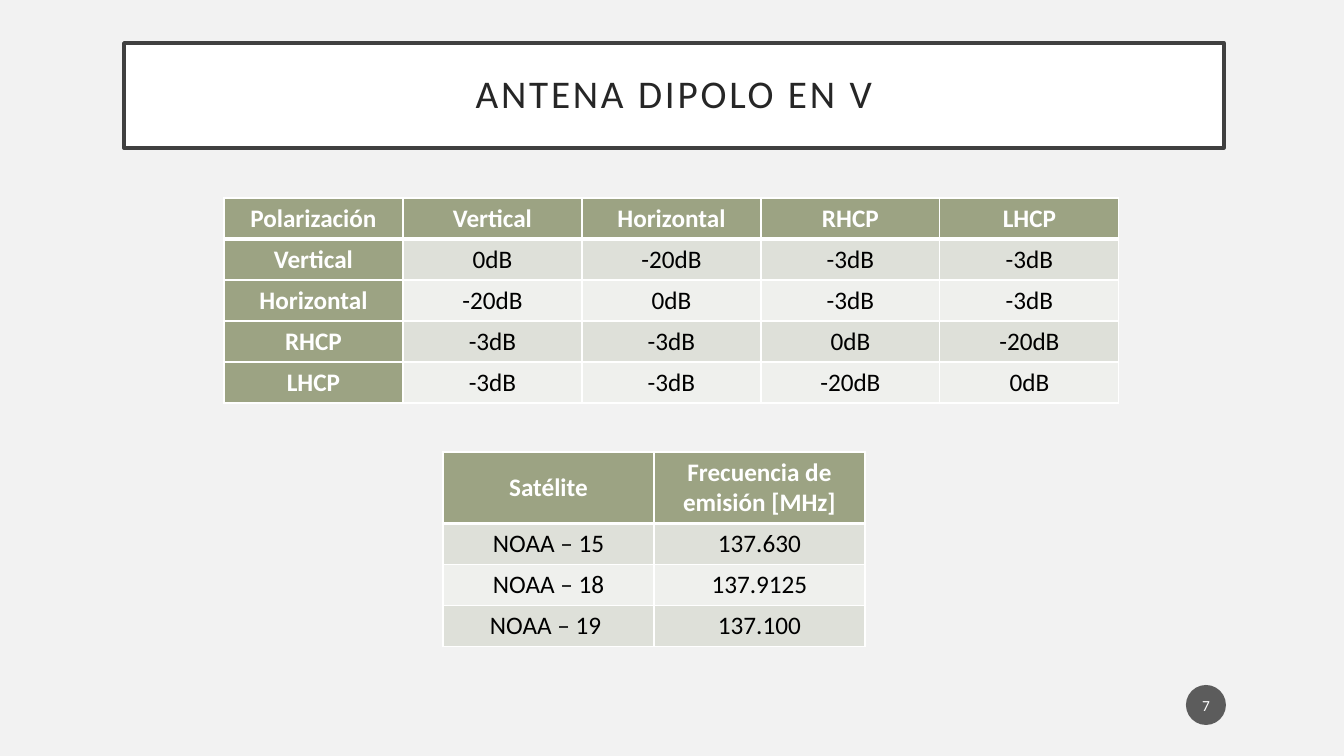
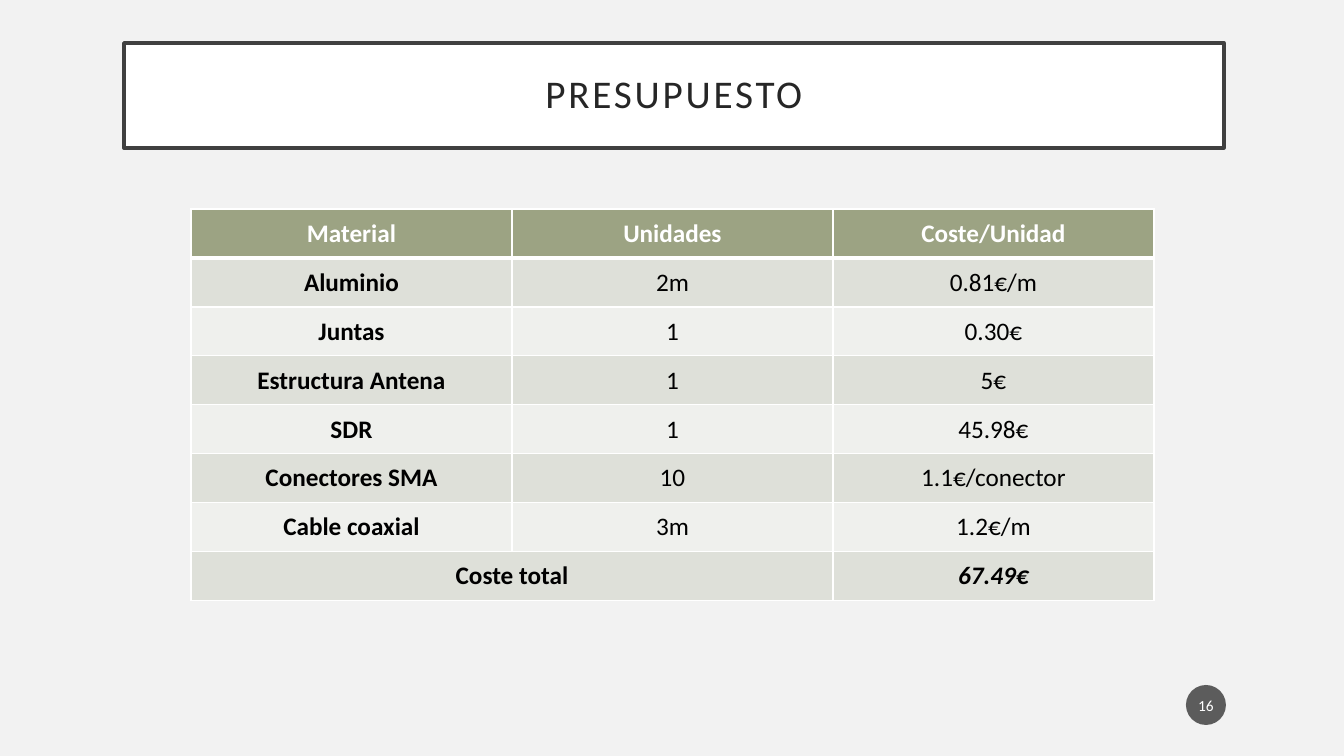
from dataclasses import dataclass
from enum import Enum

from lxml import etree
from pptx import Presentation
from pptx import util as u
from pptx.dml.color import RGBColor
from pptx.enum import shapes, text
from pptx.oxml import ns

SLIDE_WIDTH, SLIDE_HEIGHT = 1344, 756
EMU_PER_PX = 12192000 / SLIDE_WIDTH
FONT = "Calibri"
COLORS = {
    "background": "F2F2F2",
    "white": "FFFFFF",
    "frame": "404040",
    "title": "262626",
    "badge": "1D1D1D",
    "accent": "9CA383",
    "odd": "DEE0D9",
    "even": "EFF0ED",
    "body": "000000",
}


class Lead(Enum):
    PLAIN = 0
    BOLD = 1
    ACCENT = 2


@dataclass(frozen=True)
class Grid:
    left: int
    top: int
    column_width: int
    header_height: int
    row_height: int
    rows: list[list[str]]
    lead: Lead = Lead.PLAIN
    has_total: bool = False


@dataclass(frozen=True)
class Page:
    title: str
    number: str
    grids: list[Grid]


PAGES = [
    Page("ANTENA DIPOLO EN V", "7", [
        Grid(443, 452, 211, 71, 41, [
            ["Satélite", "Frecuencia de emisión [MHz]"],
            ["NOAA – 15", "137.630"],
            ["NOAA – 18", "137.9125"],
            ["NOAA – 19 ", "137.100"],
        ]),
        Grid(224, 198, 179, 41, 41, [
            ["Polarización", "Vertical", "Horizontal", "RHCP", "LHCP"],
            ["Vertical", "0dB", "-20dB", "-3dB", "-3dB"],
            ["Horizontal", "-20dB", "0dB", "-3dB", "-3dB"],
            ["RHCP", "-3dB", "-3dB", "0dB", "-20dB"],
            ["LHCP", "-3dB", "-3dB", "-20dB", "0dB"],
        ], Lead.ACCENT),
    ]),
    Page("PRESUPUESTO", "16", [
        Grid(191, 209, 321, 49, 49, [
            ["Material", "Unidades", "Coste/Unidad"],
            ["Aluminio", "2m", "0.81€/m"],
            ["Juntas", "1", "0.30€"],
            ["Estructura Antena", "1", "5€"],
            ["SDR", "1", "45.98€"],
            ["Conectores SMA", "10", "1.1€/conector"],
            ["Cable coaxial", "3m", "1.2€/m"],
            ["Coste total", "", "67.49€"],
        ], Lead.BOLD, True),
    ]),
]


def px(length: int) -> int:
    return round(length * EMU_PER_PX)


def rgb(name: str) -> RGBColor:
    return RGBColor.from_string(COLORS[name])


def paint(fill, color: str) -> None:
    fill.solid()
    fill.fore_color.rgb = rgb(color)


def write(frame, wording: str, color: str, **formats):
    paragraph = frame.paragraphs[0]
    paragraph.alignment = text.PP_ALIGN.CENTER
    run = paragraph.add_run()
    run.text = wording
    run.font.color.rgb = rgb(color)
    for key, value in {"name": FONT, **formats}.items():
        setattr(run.font, key, value)
    return run


def add_panel(slide, kind, box: tuple[int, int, int, int], color: str,
              inset_x: int, inset_y: int):
    panel = slide.shapes.add_shape(kind, *map(px, box))
    panel.shadow.inherit = False
    paint(panel.fill, color)
    panel.line.fill.background()
    formats = {
        "margin_left": px(inset_x), "margin_right": px(inset_x),
        "margin_top": px(inset_y), "margin_bottom": px(inset_y),
        "vertical_anchor": text.MSO_ANCHOR.MIDDLE, "word_wrap": True,
    }
    for key, value in formats.items():
        setattr(panel.text_frame, key, value)
    return panel


def add_title(slide, wording: str) -> None:
    banner = add_panel(slide, shapes.MSO_SHAPE.RECTANGLE,
                       (124, 43, 1100, 105), "white", 20, 20)
    paint(banner.line.fill, "frame")
    banner.line.width = u.Pt(2.5)
    run = write(banner.text_frame, wording, "title", size=u.Pt(28))
    run.font._element.set("spc", "200")
    banner.text_frame.paragraphs[0].line_spacing = 0.9


def add_page_number(slide, number: str) -> None:
    badge = add_panel(slide, shapes.MSO_SHAPE.OVAL,
                      (1186, 685, 40, 40), "badge", 2, 5)
    color = badge.fill._xPr.find(".//" + ns.qn("a:srgbClr"))
    etree.SubElement(color, ns.qn("a:alpha"), val="70000")
    write(badge.text_frame, number, "white", size=u.Pt(11))


def add_borders(cell, row: int) -> None:
    properties = cell._tc.get_or_add_tcPr()
    heavy_sides = {0: "B", 1: "T"}
    for side in "LRTB":
        width = u.Pt(3 if heavy_sides.get(row) == side else 1)
        line = etree.SubElement(properties, ns.qn(f"a:ln{side}"), w=str(width))
        fill = etree.SubElement(line, ns.qn("a:solidFill"))
        etree.SubElement(fill, ns.qn("a:srgbClr"), val=COLORS["white"])


def add_grid(slide, grid: Grid) -> None:
    row_count, column_count = len(grid.rows), len(grid.rows[0])
    heights = [grid.header_height] + [grid.row_height] * (row_count - 1)
    table = slide.shapes.add_table(
        row_count, column_count, px(grid.left), px(grid.top),
        px(grid.column_width * column_count), px(sum(heights))).table
    table.horz_banding = False
    for column in table.columns:
        column.width = px(grid.column_width)
    for row, (wordings, height) in enumerate(zip(grid.rows, heights)):
        table.rows[row].height = px(height)
        is_total = grid.has_total and row == row_count - 1
        for column, wording in enumerate(wordings):
            cell = table.cell(row, column)
            leads = column == 0 and grid.lead != Lead.PLAIN
            accented = row == 0 or (leads and grid.lead == Lead.ACCENT)
            add_borders(cell, row)
            paint(cell.fill, "accent" if accented else "odd" if row % 2 else "even")
            cell.vertical_anchor = text.MSO_ANCHOR.MIDDLE
            if wording:
                write(cell.text_frame, wording, "white" if accented else "body",
                      size=u.Pt(18), bold=row == 0 or leads or is_total,
                      italic=is_total and column > 0)
    if grid.has_total:
        last = row_count - 1
        table.cell(last, 0).merge(table.cell(last, column_count - 2))


def main() -> None:
    deck = Presentation()
    deck.slide_width, deck.slide_height = px(SLIDE_WIDTH), px(SLIDE_HEIGHT)
    paint(deck.slide_master.background.fill, "background")
    for page in PAGES:
        slide = deck.slides.add_slide(deck.slide_layouts[6])
        add_title(slide, page.title)
        add_page_number(slide, page.number)
        for grid in page.grids:
            add_grid(slide, grid)
    deck.save("out.pptx")


if __name__ == "__main__":
    main()
